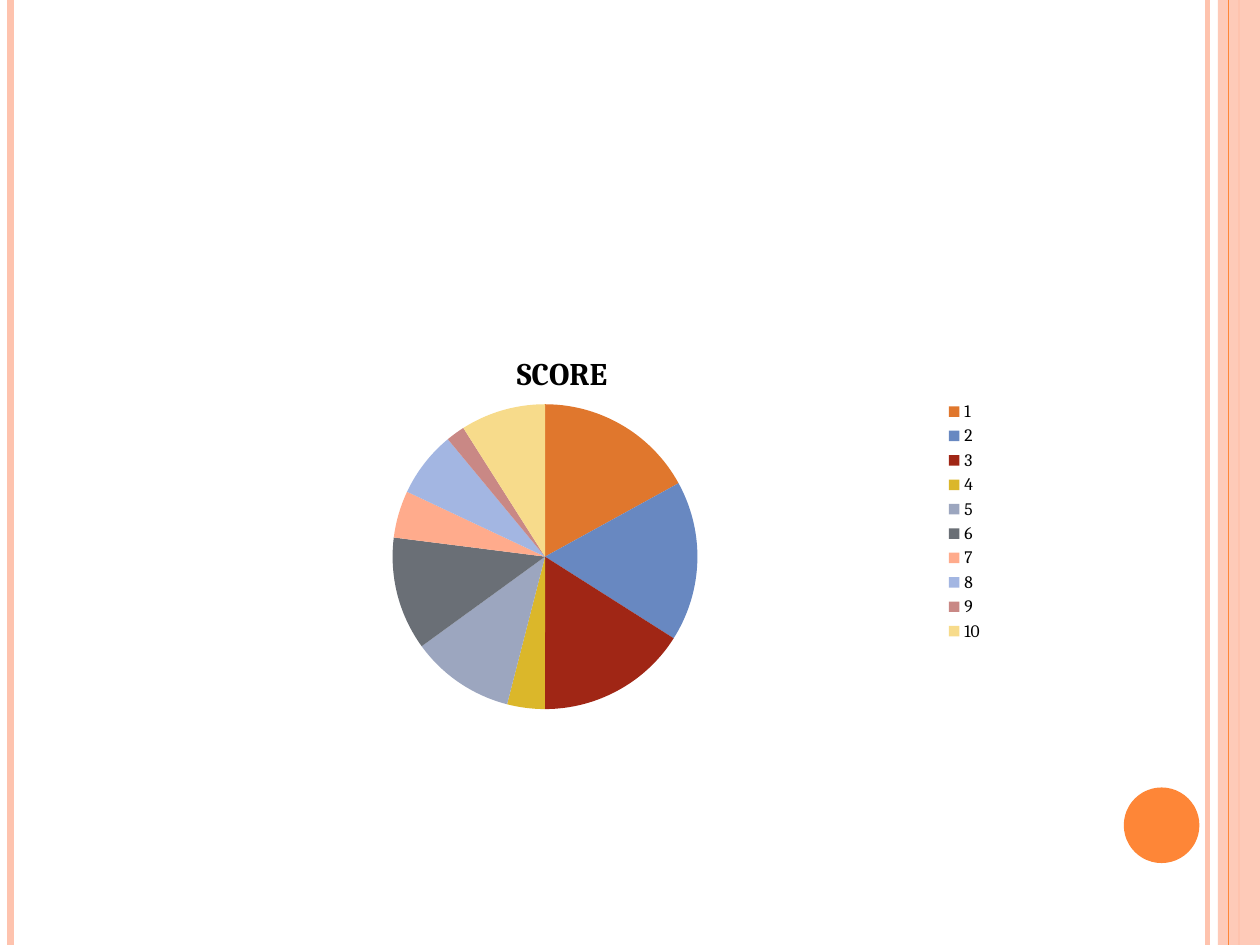
"""Build a slide with a score pie chart framed by vertical bands."""
from lxml.etree import SubElement
from pptx import Presentation
from pptx.chart.data import CategoryChartData
from pptx.dml.color import RGBColor
from pptx.enum.chart import XL_CHART_TYPE as CHART, XL_LEGEND_POSITION as LEGEND
from pptx.enum.shapes import MSO_CONNECTOR as CONN, MSO_SHAPE as SHAPE
from pptx.oxml.ns import qn
from pptx.util import Pt

COLORS = {"peach": "FEC3AE", "orange": "FE8637", "text": "000000"}
SLICES = ["E0772D", "6888C1", "A02615", "DBB72A", "9CA6BF",
          "6A6F76", "FFAB8C", "A3B6E2", "C98885", "F7DB8B"]
SCORES = [17, 17, 16, 4, 11, 12, 5, 7, 2, 9]
FONT = "Cambria"


def set_text(tf, text, size, bold=False, color="text"):
    r = tf.paragraphs[0].add_run()
    r.text = text
    r.font.name, r.font.size, r.font.bold = FONT, Pt(size), bold
    r.font.color.rgb = RGBColor.from_string(COLORS[color])


def place(element, index, **fractions):
    for old in element.findall(qn("c:layout")):
        element.remove(old)
    layout = SubElement(element, qn("c:layout"))
    element.insert(index, layout)
    manual = SubElement(layout, qn("c:manualLayout"))
    if element.tag == qn("c:plotArea"):
        SubElement(manual, qn("c:layoutTarget")).set("val", "inner")
    for key in ("x", "y"):
        SubElement(manual, qn(f"c:{key}Mode")).set("val", "edge")
    for key, value in fractions.items():
        SubElement(manual, qn(f"c:{key}")).set("val", str(value))


prs = Presentation()
prs.slide_width, prs.slide_height = Pt(720), Pt(540)
s = prs.slides.add_slide(prs.slide_layouts[6])

band = s.shapes.add_shape(SHAPE.RECTANGLE, Pt(696), 0, Pt(24), Pt(540))
circle = s.shapes.add_shape(SHAPE.OVAL, Pt(642.2), Pt(450), Pt(43.2), Pt(43.2))
for sp, color in ((band, "peach"), (circle, "orange")):
    sp.shadow.inherit = False
    sp.fill.solid()
    sp.fill.fore_color.rgb = RGBColor.from_string(COLORS[color])
    sp.line.fill.background()
rgb = band.fill._xPr.find(f".//{qn('a:srgbClr')}")
SubElement(rgb, qn("a:alpha")).set("val", "87000")

for x, width, color in ((690, 3, "peach"), (6, 4.5, "peach"),
                        (708, 1.5, "peach"), (702, 0.75, "orange")):
    rule = s.shapes.add_connector(CONN.STRAIGHT, Pt(x), 0, Pt(x), Pt(540))
    rule.line.width = Pt(width)
    rule.line.color.rgb = RGBColor.from_string(COLORS[color])
    SubElement(rule._element.spPr, qn("a:effectLst"))

data = CategoryChartData()
data.categories = [str(n) for n in range(1, len(SCORES) + 1)]
data.add_series("SCORE", SCORES)
chart = s.shapes.add_chart(CHART.PIE, Pt(84), Pt(179.5), Pt(484), Pt(237), data).chart
chart.font.name, chart.font.size = FONT, Pt(10)
chart.font.color.rgb = RGBColor.from_string(COLORS["text"])
chart.has_title = True
set_text(chart.chart_title.text_frame, "SCORE", size=18, bold=True)
chart.has_legend = True
chart.legend.position = LEGEND.RIGHT
chart.legend.include_in_layout = False

plot = chart.plots[0]
plot.vary_by_categories = True
for i, color in enumerate(SLICES):
    fill = plot.series[0].points[i].format.fill
    fill.solid()
    fill.fore_color.rgb = RGBColor.from_string(color)

place(chart.chart_title._element, 1, x=0.43, y=0.08)
place(chart._chartSpace.chart.plotArea, 0, x=0.29, y=0.21, w=0.36, h=0.75)
place(chart.legend._element, 1, x=0.94, y=0.2, w=0.05, h=0.6)

prs.save("out.pptx")
